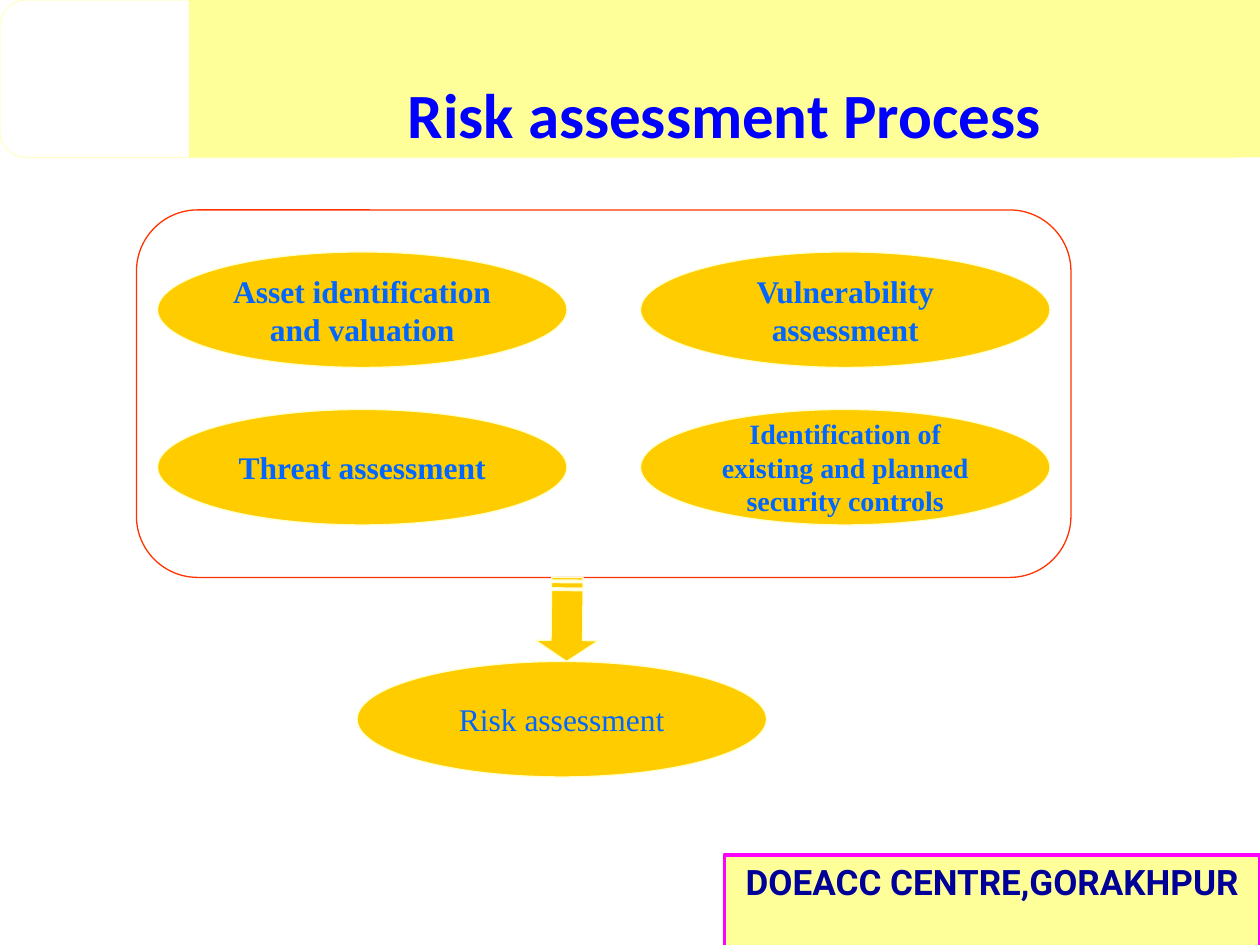
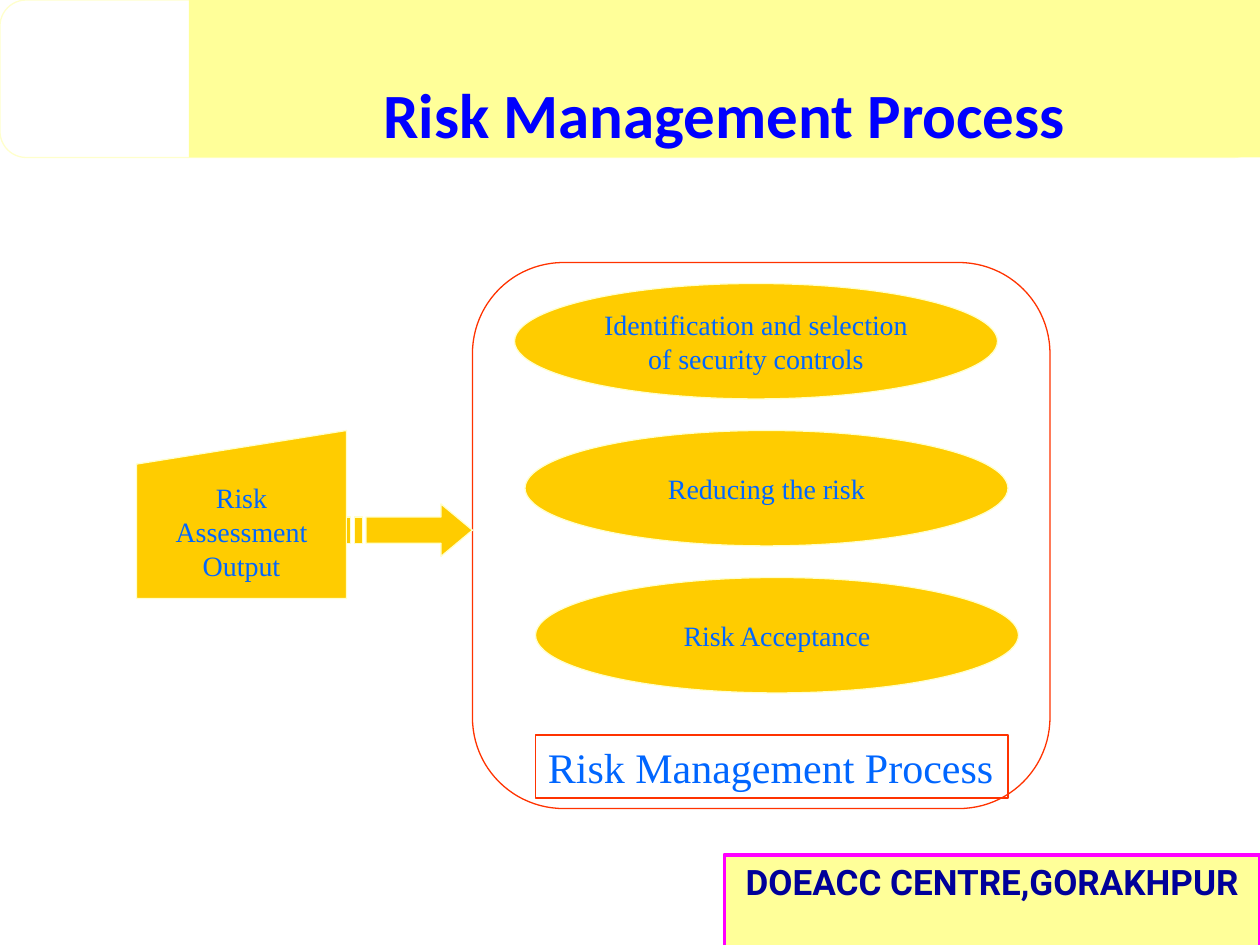
"""Build two slides on the risk assessment and risk management processes."""
from pptx import Presentation
from pptx.dml.color import RGBColor
from pptx.enum.shapes import MSO_SHAPE
from pptx.enum.text import MSO_ANCHOR, PP_ALIGN
from pptx.util import Pt

RECT = MSO_SHAPE.RECTANGLE
OVAL = MSO_SHAPE.OVAL
ROUNDED = MSO_SHAPE.FLOWCHART_ALTERNATE_PROCESS
MANUAL_INPUT = MSO_SHAPE.FLOWCHART_MANUAL_INPUT
TOP, MIDDLE, BOTTOM = MSO_ANCHOR.TOP, MSO_ANCHOR.MIDDLE, MSO_ANCHOR.BOTTOM
LEFT, CENTER = PP_ALIGN.LEFT, PP_ALIGN.CENTER

WHITE, CREAM, YELLOW, GOLD = "FFFFFF", "FFFFCC", "FFFF99", "FFCC00"
RED, MAGENTA = "FF3300", "FF00FF"
BLUE, NAVY, SKY = "0000FF", "000099", "0066FF"
SERIF = "Times New Roman"
OVAL_H = 66


def add_box(s, kind, x, y, w, h, text="", size=18, bold=False, fill=GOLD, line=CREAM,
            line_w=0.75, color=SKY, font=SERIF, anchor=MIDDLE, align=CENTER):
    sp = s.shapes.add_shape(kind, Pt(x), Pt(y), Pt(w), Pt(h))
    sp.shadow.inherit = False
    if fill:
        sp.fill.solid()
        sp.fill.fore_color.rgb = RGBColor.from_string(fill)
    else:
        sp.fill.background()
    if line:
        sp.line.color.rgb = RGBColor.from_string(line)
        sp.line.width = Pt(line_w)
    else:
        sp.line.fill.background()
    if text:
        tf = sp.text_frame
        tf.word_wrap = True
        tf.vertical_anchor = anchor
        tf.text = text
        p = tf.paragraphs[0]
        p.alignment = align
        r = p.runs[0]
        r.font.size = Pt(size)
        r.font.bold = bold
        r.font.name = font
        r.font.color.rgb = RGBColor.from_string(color)


def add_striped_arrow(s, x, y, w, h, rotation=0):
    def at(u, v):
        return Pt(x + u * w), Pt(y + v * h)

    body = [(5 / 32, 0.25), (0.75, 0.25), (0.75, 0), (1, 0.5),
            (0.75, 1), (0.75, 0.75), (5 / 32, 0.75)]
    fb = s.shapes.build_freeform(*at(*body[0]))
    fb.add_line_segments([at(*pt) for pt in body[1:]])
    for start, end in [(0, 1 / 32), (1 / 16, 1 / 8)]:
        fb.move_to(*at(start, 0.25))
        fb.add_line_segments([at(end, 0.25), at(end, 0.75), at(start, 0.75)])
    sp = fb.convert_to_shape()
    sp.shadow.inherit = False
    sp.rotation = rotation
    sp.fill.solid()
    sp.fill.fore_color.rgb = RGBColor.from_string(GOLD)
    sp.line.color.rgb = RGBColor.from_string(CREAM)
    sp.line.width = Pt(0.75)


prs = Presentation()
prs.slide_width, prs.slide_height = Pt(720), Pt(540)

slides = []
for title in ["Risk assessment Process", "Risk Management Process"]:
    s = prs.slides.add_slide(prs.slide_layouts[6])
    add_box(s, ROUNDED, 0, 0, 720, 90, fill=WHITE)
    add_box(s, RECT, 414, 488.4, 306, 55.2, "DOEACC CENTRE,GORAKHPUR", 20, True, fill=YELLOW,
            line=MAGENTA, line_w=2.25, color=NAVY, font="Roboto", anchor=TOP)
    add_box(s, RECT, 108, 0, 612, 90, title, 36, True, fill=YELLOW, line=None,
            color=BLUE, font="Calibri", anchor=BOTTOM)
    slides.append(s)
assessment, management = slides

add_box(assessment, ROUNDED, 78, 120, 534, 210, fill=None, line=RED)
inputs = [
    ("Asset identification and valuation", 18),
    ("Vulnerability assessment", 18),
    ("Threat assessment", 18),
    ("Identification of existing and planned security controls", 16),
]
for i, (text, size) in enumerate(inputs):
    row, col = divmod(i, 2)
    add_box(assessment, OVAL, 90 + 276 * col, 144 + 90 * row, 234, OVAL_H, text, size, True)
add_striped_arrow(assessment, 300, 336, 48, 36, 90.5)
add_box(assessment, OVAL, 204, 378, 234, OVAL_H, "Risk assessment")

add_box(management, MANUAL_INPUT, 78, 246, 120, 96, "Risk Assessment Output", 16)
add_box(management, ROUNDED, 270, 150, 330, 312, fill=None, line=RED)
steps = ["Identification and selection of security controls", "Reducing the risk",
         "Risk Acceptance"]
for i, text in enumerate(steps):
    add_box(management, OVAL, 294 + 6 * i, 162 + 84 * i, 276, OVAL_H, text, 16)
add_box(management, RECT, 306, 420, 270, 36, "Risk Management Process", 24, fill=None,
        line=RED, anchor=TOP, align=LEFT)
add_striped_arrow(management, 198, 288, 72, 30)

prs.save("out.pptx")
